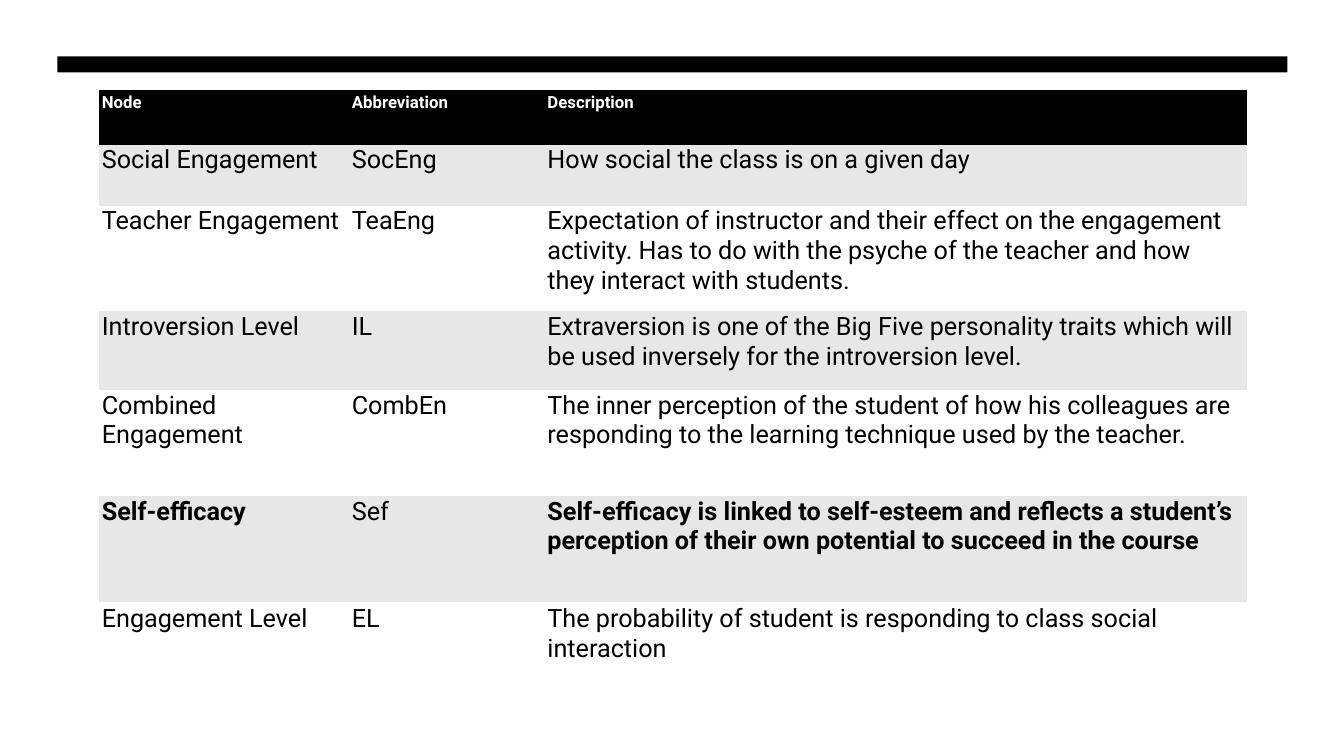
from lxml import etree
from pptx import Presentation
from pptx.dml.color import RGBColor
from pptx.enum.shapes import MSO_SHAPE
from pptx.oxml.ns import qn
from pptx.util import Inches, Pt

RECTANGLE = MSO_SHAPE.RECTANGLE
FONT = "Roboto"
BLACK, WHITE, GRAY = "000000", "FFFFFF", "E7E7E7"
PLAIN_TABLE_STYLE = "{2D5ABB26-0587-4C30-8999-92F81FD0307C}"  # no style, no grid

COLUMN_WIDTHS = [2.48, 1.94, 6.97]
NODE_ROW_HEIGHTS = [0.52, 0.61, 1.05, 0.78, 1.05, 1.05]
HEADER = ("Node", "Abbreviation", "Description")
NODES = [
    ("Social Engagement", "SocEng", "How social the class is on a given day"),
    ("Teacher Engagement", "TeaEng",
     "Expectation of instructor and their effect on the engagement activity. "
     "Has to do with the psyche of the teacher and how they interact with students."),
    ("Introversion Level", "IL",
     "Extraversion is one of the Big Five personality traits which will be used "
     "inversely for the introversion level."),
    ("Combined Engagement", "CombEn",
     "The inner perception of the student of how his colleagues are responding "
     "to the learning technique used by the teacher."),
    ("Self-efficacy", "Sef",
     "Self-efficacy is linked to self-esteem and reflects a student’s perception "
     "of their own potential to succeed in the course"),
]
OUTCOME = ("Engagement Level", "EL",
           "The probability of student is responding to class social interaction")
BOLD_TEXTS = {*HEADER, NODES[-1][0], NODES[-1][2]}


def color(hex_string):
    return RGBColor.from_string(hex_string)


def add_bar(slide, left, top, width, height):
    bar = slide.shapes.add_shape(
        RECTANGLE, Inches(left), Inches(top), Inches(width), Inches(height))
    bar.shadow.inherit = False
    bar.fill.solid()
    bar.fill.fore_color.rgb = color(BLACK)
    bar.line.fill.background()


def add_border(cell, side, hex_string, points):
    properties = cell._tc.get_or_add_tcPr()
    line = etree.SubElement(properties, qn(f"a:{side}"), w=str(Pt(points)))
    fill = etree.SubElement(line, qn("a:solidFill"))
    etree.SubElement(fill, qn("a:srgbClr"), val=hex_string)


def fill_cell(cell, text, size, text_color, background, line_spacing):
    cell.margin_left = cell.margin_right = Inches(0.03)
    cell.margin_top = cell.margin_bottom = Inches(0.01)
    cell.fill.solid()
    cell.fill.fore_color.rgb = color(background)
    cell.text = text
    paragraph = cell.text_frame.paragraphs[0]
    paragraph.line_spacing = line_spacing
    paragraph.font.name = FONT
    paragraph.font.size = Pt(size)
    paragraph.font.bold = text in BOLD_TEXTS
    paragraph.font.color.rgb = color(text_color)


def add_node_table(slide, left, top, rows, row_heights, line_spacing=None):
    frame = slide.shapes.add_table(
        len(rows), len(COLUMN_WIDTHS), Inches(left), Inches(top),
        Inches(sum(COLUMN_WIDTHS)), Inches(sum(row_heights)))
    table = frame.table
    table.first_row = table.horz_banding = False
    table._tbl.tblPr.find(qn("a:tableStyleId")).text = PLAIN_TABLE_STYLE
    for column, width in zip(table.columns, COLUMN_WIDTHS):
        column.width = Inches(width)
    for row_index, (row, texts) in enumerate(zip(table.rows, rows)):
        row.height = Inches(row_heights[row_index])
        for cell, text in zip(row.cells, texts):
            if texts is HEADER:
                for side in ("lnT", "lnB"):
                    add_border(cell, side, BLACK, 2)
                fill_cell(cell, text, 12, WHITE, BLACK, line_spacing)
            else:
                background = GRAY if row_index % 2 else WHITE
                fill_cell(cell, text, 18, BLACK, background, line_spacing)


def build_nodes_slide(presentation):
    slide = presentation.slides.add_slide(presentation.slide_layouts[6])
    # Rule across the top
    add_bar(slide, 0.57, 0.56, 12.2, 0.16)
    # Input nodes, then the outcome node below them
    add_node_table(slide, 0.98, 0.91, [HEADER, *NODES], NODE_ROW_HEIGHTS)
    add_node_table(slide, 0.98, 5.97, [OUTCOME], [1.05], Pt(21.8))


def main():
    presentation = Presentation()
    presentation.slide_width = Inches(13.33)
    presentation.slide_height = Inches(7.5)
    build_nodes_slide(presentation)
    presentation.save("out.pptx")


if __name__ == "__main__":
    main()
